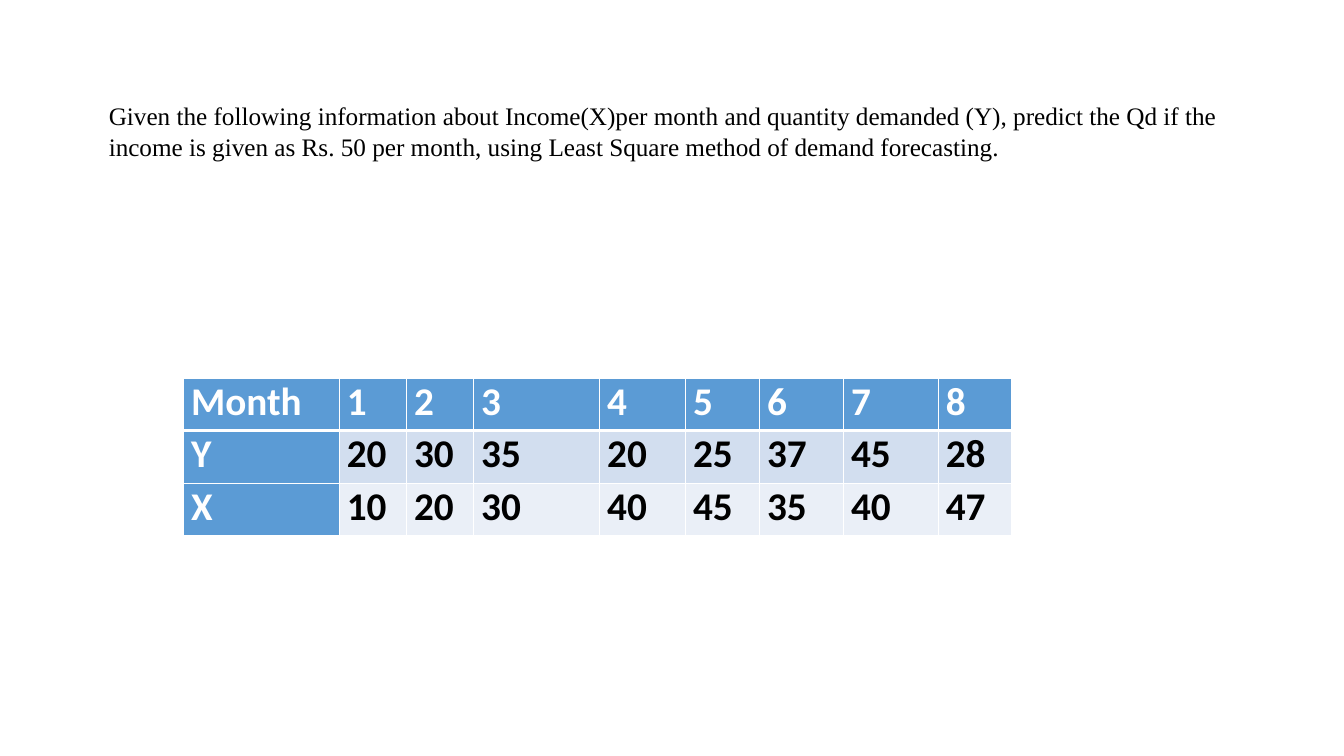
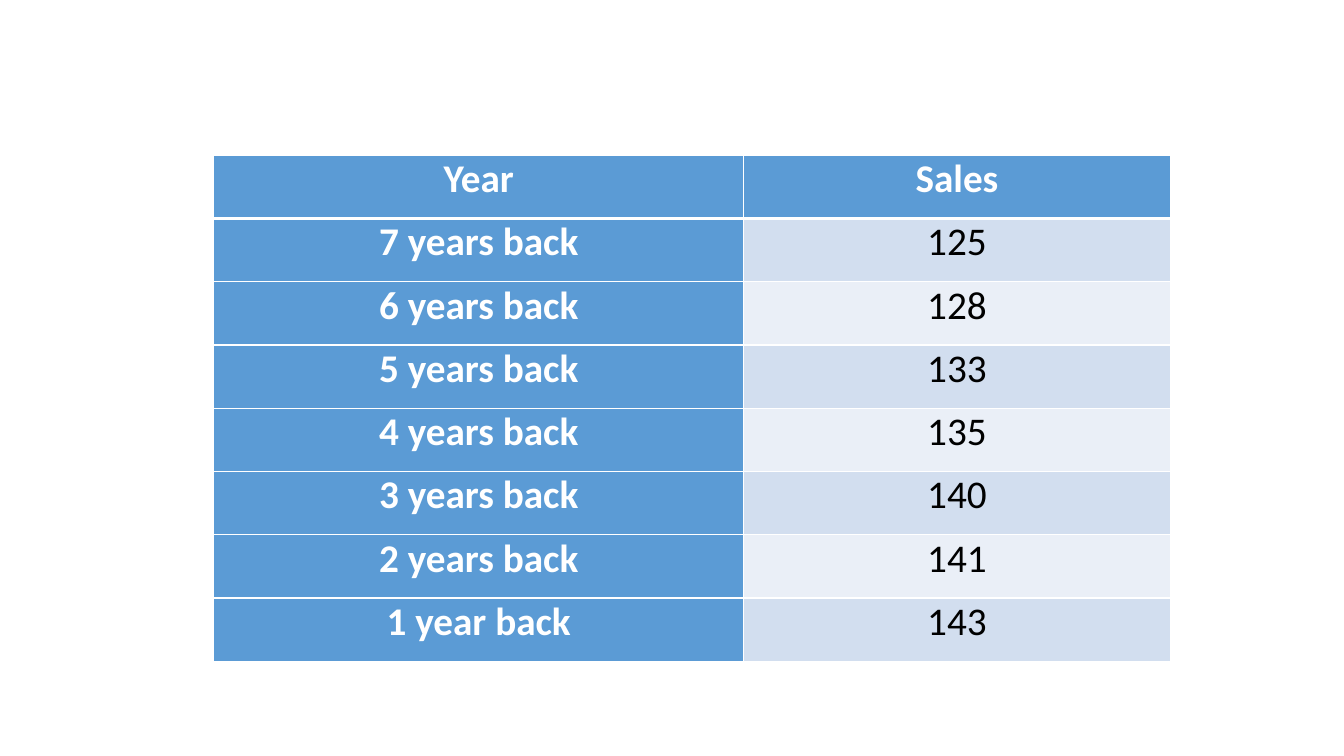
from lxml.etree import SubElement
from pptx import Presentation
from pptx.dml.color import RGBColor
from pptx.enum.text import MSO_AUTO_SIZE, PP_ALIGN
from pptx.oxml.ns import qn
from pptx.util import Pt

BLUE = RGBColor(0x5B, 0x9B, 0xD5)
BAND_DARK = RGBColor(0xD2, 0xDE, 0xEF)
BAND_LIGHT = RGBColor(0xEA, 0xEF, 0xF7)
WHITE = RGBColor(0xFF, 0xFF, 0xFF)
BLACK = RGBColor(0, 0, 0)


class Deck:
    table_font = "Calibri"
    table_size = 28
    text_font = "Times New Roman"
    text_size = 18

    def __init__(self):
        self.prs = Presentation()
        self.prs.slide_width, self.prs.slide_height = Pt(960), Pt(540)
        self.s = None

    def add_slide(self):
        self.s = self.prs.slides.add_slide(self.prs.slide_layouts[6])

    def style_run(self, r, name, size, color, bold=False):
        r.font.name, r.font.size, r.font.bold = name, Pt(size), bold
        r.font.color.rgb = color

    def text(self, x, y, w, h, words):
        tf = self.s.shapes.add_textbox(Pt(x), Pt(y), Pt(w), Pt(h)).text_frame
        tf.word_wrap = True
        tf.auto_size = MSO_AUTO_SIZE.SHAPE_TO_FIT_TEXT
        p = tf.paragraphs[0]
        p.text = words
        self.style_run(p.runs[0], self.text_font, self.text_size, BLACK)

    def border(self, cell, side, width):
        ln = SubElement(cell._tc.get_or_add_tcPr(), qn(f"a:ln{side}"), w=str(Pt(width)))
        SubElement(SubElement(ln, qn("a:solidFill")), qn("a:srgbClr"), val=str(WHITE))

    def cell(self, cell, words, row, col, align, bold):
        heading = row == 0 or col == 0
        cell.margin_left = cell.margin_right = Pt(5.4)
        cell.margin_top = cell.margin_bottom = 0
        widths = {"L": 1, "R": 1, "T": 3 if row == 1 else 1, "B": 3 if row == 0 else 1}
        for side, width in widths.items():
            self.border(cell, side, width)
        cell.fill.solid()
        band = BAND_DARK if row % 2 else BAND_LIGHT
        cell.fill.fore_color.rgb = BLUE if heading else band
        p = cell.text_frame.paragraphs[0]
        p.text = words
        p.alignment = align
        color = WHITE if heading else BLACK
        self.style_run(p.runs[0], self.table_font, self.table_size, color, heading or bold)

    def table(self, x, y, col_widths, row_height, rows, align, bold=False):
        frame = self.s.shapes.add_table(
            len(rows), len(col_widths), Pt(x), Pt(y),
            Pt(sum(col_widths)), Pt(row_height * len(rows)))
        table = frame.table
        table.horz_banding = False
        for column, width in zip(table.columns, col_widths):
            column.width = Pt(width)
        for i, values in enumerate(rows):
            table.rows[i].height = Pt(row_height)
            for j, value in enumerate(values):
                self.cell(table.cell(i, j), str(value), i, j, align, bold)


def main():
    deck = Deck()

    deck.add_slide()
    demand = [
        ["Month", *range(1, 9)],
        ["Y", 20, 30, 35, 20, 25, 37, 45, 28],
        ["X", 10, 20, 30, 40, 45, 35, 40, 47],
    ]
    deck.table(131.2, 270, [111.2, 48, 48, 90, 61.4, 52.8, 60, 67.8, 52], 37.6,
               demand, PP_ALIGN.JUSTIFY, bold=True)
    deck.text(70.6, 68.4, 821.5, 51,
              "Given the following information about Income(X)per month and quantity "
              "demanded (Y), predict the Qd if the income is given as Rs. 50 per month, "
              "using Least Square method of demand forecasting.")

    deck.add_slide()
    sales = [125, 128, 133, 135, 140, 141, 143]
    rows = [["Year", "Sales"]]
    for back, value in zip(range(7, 0, -1), sales):
        rows.append([f"{back} year{'s' if back > 1 else ''} back", value])
    deck.table(152.6, 110.9, [378.7, 304.6], 45.2, rows, PP_ALIGN.CENTER)

    deck.prs.save("out.pptx")


if __name__ == "__main__":
    main()
